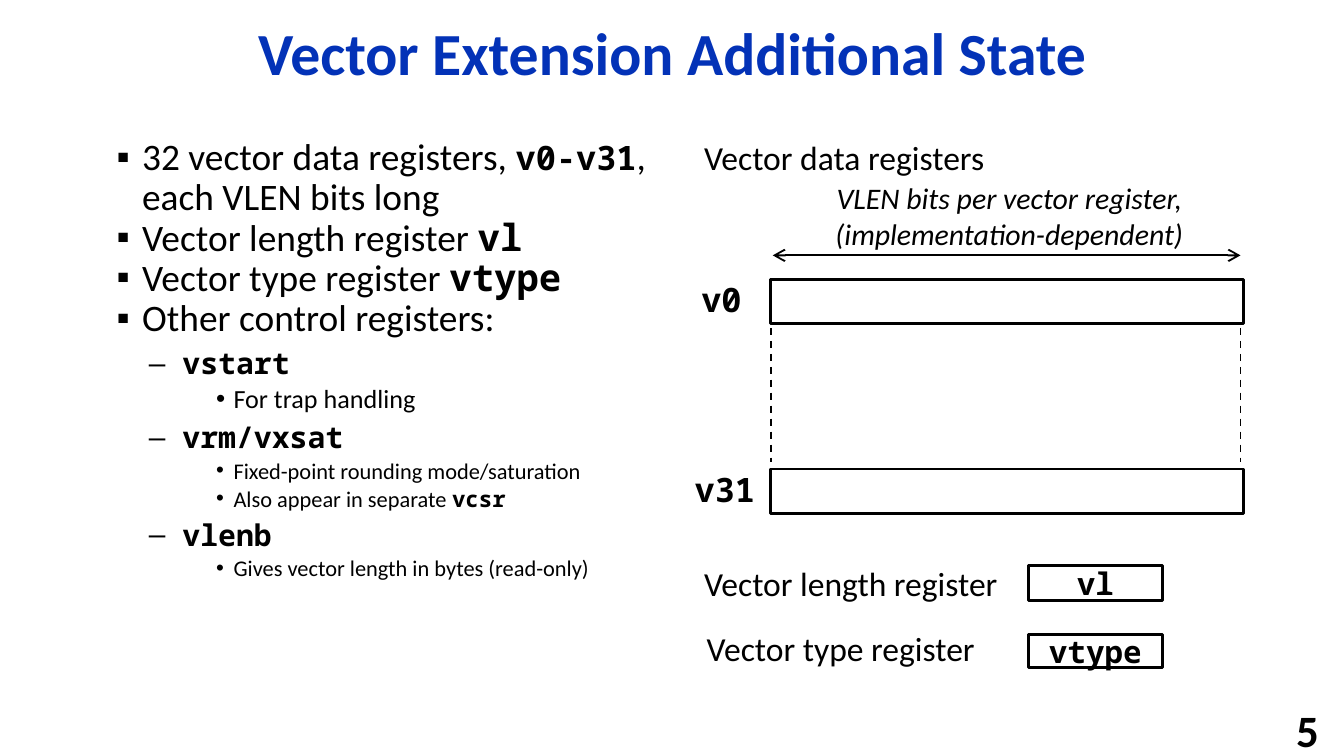
from lxml.etree import SubElement
from pptx import Presentation
from pptx.dml.color import RGBColor
from pptx.enum.dml import MSO_LINE
from pptx.enum.shapes import MSO_CONNECTOR, MSO_SHAPE
from pptx.enum.text import MSO_ANCHOR as Anchor, PP_ALIGN as Align
from pptx.oxml.ns import qn
from pptx.util import Inches, Pt

BLACK = RGBColor(0x00, 0x00, 0x00)
WHITE = RGBColor(0xFF, 0xFF, 0xFF)
BLUE = RGBColor(0x03, 0x32, 0xB7)
SANS, MONO, BULLET_FONT = "Calibri", "Noto Sans Mono", "Arial"

# Per level: left margin, hanging indent, line spacing, space before (share of size), bullet
LEVELS = [
    (0.2, -0.19, 0.9, 0, "▪"),
    (0.5, -0.25, 0.9, 0.3, "–"),
    (0.88, -0.13, 0.8, 0.3, "•"),
]

# Level, then runs of (text, size, font)
STATE_BULLETS = [
    (0, [("32 vector data registers, ", 20, SANS), ("v0-v31", 18, MONO),
         (", each VLEN bits long", 20, SANS)]),
    (0, [("Vector length register ", 20, SANS), ("vl", 20, MONO)]),
    (0, [("Vector type register ", 20, SANS), ("vtype", 20, MONO)]),
    (0, [("Other control registers:", 20, SANS)]),
    (1, [("vstart", 16, MONO)]),
    (2, [("For trap handling", 14, SANS)]),
    (1, [("vrm/vxsat", 16, MONO)]),
    (2, [("Fixed-point rounding mode/saturation", 12, SANS)]),
    (2, [("Also appear in separate ", 12, SANS), ("vcsr", 12, MONO)]),
    (1, [("vlenb", 16, MONO)]),
    (2, [("Gives vector length in bytes (read-only)", 12, SANS)]),
]


def style_font(font, size, name=SANS, color=BLACK, bold=False, italic=False):
    font.size, font.name = Pt(size), name
    font.bold, font.italic = bold, italic
    font.color.rgb = color


def add_text(slide, box, text, size, align=Align.LEFT, anchor=Anchor.TOP,
             wrap=False, spacing=None, **style):
    frame = slide.shapes.add_textbox(*map(Inches, box)).text_frame
    frame.word_wrap = wrap
    frame.vertical_anchor = anchor
    paragraph = frame.paragraphs[0]
    paragraph.text = text
    paragraph.alignment = align
    if spacing:
        paragraph.line_spacing = spacing
    style_font(paragraph.font, size, **style)


def add_register(slide, box, name=""):
    shape = slide.shapes.add_shape(MSO_SHAPE.RECTANGLE, *map(Inches, box))
    shape.shadow.inherit = False
    shape.fill.solid()
    shape.fill.fore_color.rgb = WHITE
    shape.line.color.rgb = BLACK
    shape.line.width = Pt(1.5)
    if name:
        frame = shape.text_frame
        frame.margin_left = frame.margin_right = 0
        frame.margin_top = frame.margin_bottom = 0
        frame.vertical_anchor = Anchor.MIDDLE
        paragraph = frame.paragraphs[0]
        paragraph.text = name
        paragraph.alignment = Align.CENTER
        style_font(paragraph.font, 16.6, MONO, bold=True)


def add_line(slide, start, end, dashed=False, arrows=False):
    connector = slide.shapes.add_connector(
        MSO_CONNECTOR.STRAIGHT, *map(Inches, start + end))
    connector.line.color.rgb = BLACK
    connector.line.width = Pt(1)
    if dashed:
        connector.line.dash_style = MSO_LINE.DASH
    if arrows:
        outline = connector.line._get_or_add_ln()
        for tag in ("a:headEnd", "a:tailEnd"):
            SubElement(outline, qn(tag), type="arrow")
    SubElement(connector._element.spPr, qn("a:effectLst"))


def add_bullets(slide, box, items):
    frame = slide.shapes.add_textbox(*map(Inches, box)).text_frame
    frame.word_wrap = True
    for index, (level, runs) in enumerate(items):
        paragraph = frame.paragraphs[0] if index == 0 else frame.add_paragraph()
        margin, indent, spacing, before, bullet = LEVELS[level]
        paragraph.level = level
        paragraph.line_spacing = spacing
        paragraph.space_before = Pt(before * runs[0][1])
        properties = paragraph._p.get_or_add_pPr()
        properties.set("marL", str(Inches(margin)))
        properties.set("indent", str(Inches(indent)))
        SubElement(properties, qn("a:buFont"), typeface=BULLET_FONT)
        SubElement(properties, qn("a:buChar"), char=bullet)
        for text, size, name in runs:
            run = paragraph.add_run()
            run.text = text
            style_font(run.font, size, name, bold=name == MONO)


def add_data_registers(slide, left, top):
    """Register file: heading, width arrow, first and last register."""
    bar_left, bar_width = left + 0.59, 3.52
    right = bar_left + bar_width - 0.02
    add_text(slide, (left, top, 2.35, 0.4), "Vector data registers", 18)
    add_text(slide, (left + 0.48, top + 0.32, 3.78, 0.64),
             "VLEN bits per vector register, (implementation-dependent)",
             16, Align.CENTER, wrap=True, italic=True)
    add_line(slide, (bar_left + 0.02, top + 0.93), (right, top + 0.93), arrows=True)
    for name, label_left, label_width, offset in (
            ("v0", left - 0.02, 0.5, 1.11), ("v31", left - 0.07, 0.65, 2.52)):
        add_register(slide, (bar_left, top + offset, bar_width, 0.33))
        add_text(slide, (label_left, top + offset - 0.05, label_width, 0.4),
                 name, 18, name=MONO, bold=True)
    # Dashed sides stand for the registers in between
    for x in (bar_left + 0.01, right):
        add_line(slide, (x, top + 1.47), (x, top + 2.47), dashed=True)


def add_control_registers(slide, left, top):
    """Length and type registers, each with its caption."""
    add_text(slide, (left, top, 2.44, 0.4), "Vector length register", 18)
    add_register(slide, (left + 2.51, top + 0.07, 1, 0.26), "vl")
    add_text(slide, (left + 0.02, top + 0.48, 2.22, 0.4), "Vector type register", 18)
    add_register(slide, (left + 2.51, top + 0.58, 1, 0.25), "vtype")


def main():
    presentation = Presentation()
    # Widescreen, 16:9
    presentation.slide_width = Inches(10)
    presentation.slide_height = Inches(10) * 9 // 16
    slide = presentation.slides.add_slide(presentation.slide_layouts[6])

    # Title
    add_text(slide, (0.67, 0.12, 8.67, 0.6), "Vector Extension Additional State",
             32, Align.CENTER, Anchor.MIDDLE, wrap=True, spacing=0.9,
             color=BLUE, bold=True)
    # Left column
    add_bullets(slide, (0.76, 0.98, 4.24, 4.04), STATE_BULLETS)
    # Right column
    add_data_registers(slide, 5.14, 0.97)
    add_control_registers(slide, 5.14, 4.14)
    # Page number
    add_text(slide, (7.83, 5.31, 2.08, 0.24), "5", 24, Align.RIGHT,
             Anchor.MIDDLE, wrap=True, bold=True)

    presentation.save("out.pptx")


if __name__ == "__main__":
    main()
